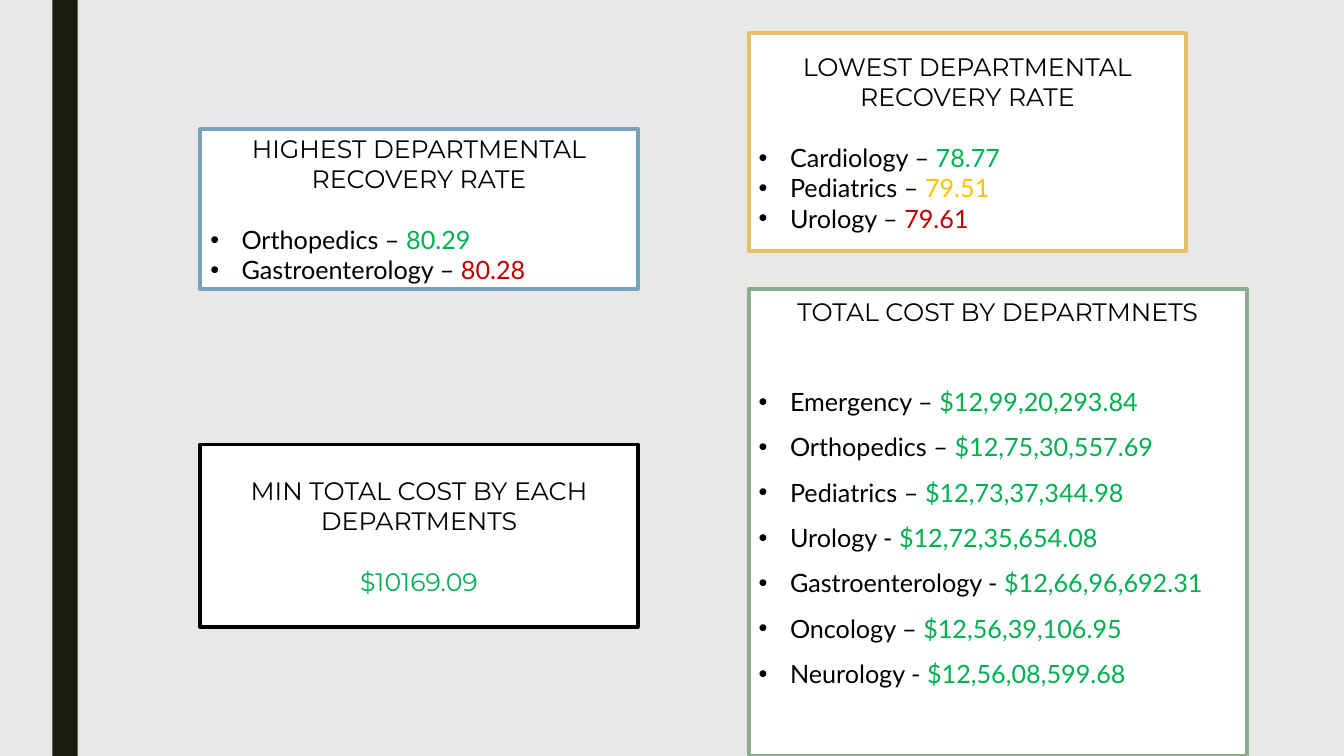
from lxml import etree
from pptx import Presentation
from pptx.dml.color import RGBColor
from pptx.enum.shapes import MSO_SHAPE
from pptx.enum.text import MSO_ANCHOR, PP_ALIGN
from pptx.oxml.ns import qn
from pptx.util import Cm, Pt

BACKGROUND = RGBColor(0xE8, 0xE8, 0xE7)
BAR = RGBColor(0x19, 0x1B, 0x0E)
WHITE = RGBColor(0xFF, 0xFF, 0xFF)
BLACK = RGBColor(0x00, 0x00, 0x00)
BLUE = RGBColor(0x77, 0xA2, 0xBB)
GOLD = RGBColor(0xE6, 0xC0, 0x69)
SAGE = RGBColor(0x8D, 0xAB, 0x8E)
GREEN = RGBColor(0x00, 0xB0, 0x50)
AMBER = RGBColor(0xFF, 0xC0, 0x00)
RED = RGBColor(0xC0, 0x00, 0x00)

HEADING_FONT = "Montserrat"
BODY_FONT = "Lato"
LEFT_COLUMN = 5.05
RIGHT_COLUMN = 18.87
CARD_WIDTH = 11.02

HIGHEST_RATES = [("Orthopedics – ", "80.29", GREEN),
                 ("Gastroenterology – ", "80.28", RED)]
LOWEST_RATES = [("Cardiology – ", "78.77", GREEN),
                ("Pediatrics – ", "79.51", AMBER),
                ("Urology – ", "79.61", RED)]
TOTAL_COSTS = [("Emergency – ", "$12,99,20,293.84", GREEN),
               ("Orthopedics – ", "$12,75,30,557.69", GREEN),
               ("Pediatrics – ", "$12,73,37,344.98", GREEN),
               ("Urology - ", "$12,72,35,654.08", GREEN),
               ("Gastroenterology - ", "$12,66,96,692.31", GREEN),
               ("Oncology – ", "$12,56,39,106.95", GREEN),
               ("Neurology - ", "$12,56,08,599.68", GREEN)]


def add_rectangle(slide, left, top, width, height, fill, line=None):
    """Add a flat rectangle measured in centimetres, outlined if a line colour is given."""
    shape = slide.shapes.add_shape(
        MSO_SHAPE.RECTANGLE, Cm(left), Cm(top), Cm(width), Cm(height))
    shape.shadow.inherit = False
    shape.fill.solid()
    shape.fill.fore_color.rgb = fill
    if line is None:
        shape.line.fill.background()
    else:
        shape.line.color.rgb = line
        shape.line.width = Pt(2.75)
    return shape


def add_run(paragraph, text, color, font):
    """Append one run of 18 point text."""
    run = paragraph.add_run()
    run.text = text
    run.font.size = Pt(18)
    run.font.name = font
    run.font.color.rgb = color


def add_card(slide, box, line, heading, gap=22):
    """Add an outlined card with a centred heading and return its text frame."""
    frame = add_rectangle(slide, *box, WHITE, line).text_frame
    frame.word_wrap = True
    frame.vertical_anchor = MSO_ANCHOR.MIDDLE
    paragraph = frame.paragraphs[0]
    paragraph.alignment = PP_ALIGN.CENTER
    paragraph.space_after = Pt(gap)
    add_run(paragraph, heading, BLACK, HEADING_FONT)
    return frame


def add_bullets(frame, items, line_spacing=1.0):
    """Add one bulleted line per department with its coloured figure."""
    for department, figure, color in items:
        paragraph = frame.add_paragraph()
        paragraph.alignment = PP_ALIGN.JUSTIFY
        paragraph.line_spacing = line_spacing
        properties = paragraph._p.get_or_add_pPr()
        properties.set("marL", str(Cm(0.79)))
        properties.set("indent", str(-Cm(0.79)))
        etree.SubElement(properties, qn("a:buFont")).set("typeface", "Arial")
        etree.SubElement(properties, qn("a:buChar")).set("char", "•")
        add_run(paragraph, department, BLACK, BODY_FONT)
        add_run(paragraph, figure, color, BODY_FONT)


def main():
    """Build the department summary slide."""
    presentation = Presentation()
    presentation.slide_width = Cm(33.87)
    presentation.slide_height = Cm(19.05)
    slide = presentation.slides.add_slide(presentation.slide_layouts[6])
    slide.background.fill.solid()
    slide.background.fill.fore_color.rgb = BACKGROUND
    add_rectangle(slide, 1.32, 0, 0.64, 19.05, BAR)

    highest = add_card(slide, (LEFT_COLUMN, 3.25, CARD_WIDTH, 4.04), BLUE,
                       "HIGHEST DEPARTMENTAL RECOVERY RATE")
    add_bullets(highest, HIGHEST_RATES)

    minimum = add_card(slide, (LEFT_COLUMN, 11.2, CARD_WIDTH, 4.6), BLACK,
                       "MIN TOTAL COST BY EACH DEPARTMENTS")
    amount = minimum.add_paragraph()
    amount.alignment = PP_ALIGN.CENTER
    add_run(amount, "$10169.09", GREEN, HEADING_FONT)

    lowest = add_card(slide, (RIGHT_COLUMN, 0.84, CARD_WIDTH, 5.49), GOLD,
                      "LOWEST DEPARTMENTAL RECOVERY RATE")
    add_bullets(lowest, LOWEST_RATES)

    totals = add_card(slide, (RIGHT_COLUMN, 7.29, 12.55, 11.76), SAGE,
                      "TOTAL COST BY DEPARTMNETS", gap=32)
    totals.margin_bottom = Cm(1.65)
    add_bullets(totals, TOTAL_COSTS, line_spacing=1.5)

    presentation.save("out.pptx")


if __name__ == "__main__":
    main()
